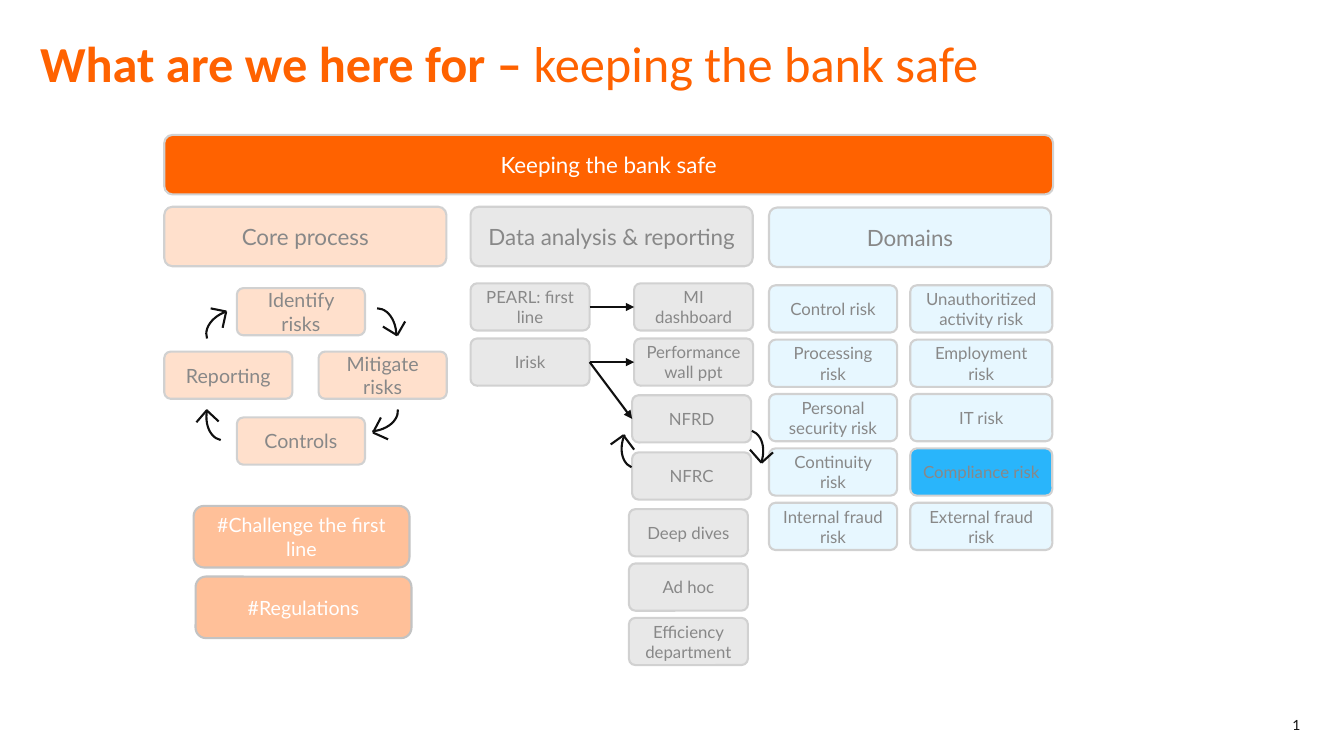
from lxml import etree
from pptx import Presentation
from pptx.dml.color import RGBColor
from pptx.enum import shapes, text
from pptx.oxml.ns import qn
from pptx.util import Cm, Pt

INK, ORANGE, WHITE, GREY = "101010", "FF6200", "FFFFFF", "888888"
PEACH, SILVER, SKY, BLUE = "FFE0CC", "E8E8E8", "E7F7FF", "29B5FB"

prs = Presentation()
prs.slide_width, prs.slide_height = Cm(33.87), Cm(19.05)
s = prs.slides.add_slide(prs.slide_layouts[6])
rgb = RGBColor.from_string


def add_box(label, x, y, w, h, fill, size=12, color=GREY, line="D1D1D1", adj=0.138):
    sp = s.shapes.add_shape(shapes.MSO_SHAPE.ROUNDED_RECTANGLE, Cm(x), Cm(y), Cm(w), Cm(h))
    sp.shadow.inherit = False
    sp.adjustments[0] = adj
    sp.fill.solid()
    sp.fill.fore_color.rgb = rgb(fill)
    sp.line.color.rgb = rgb(line)
    sp.line.width = Pt(1.5)
    tf = sp.text_frame
    tf.word_wrap = True
    tf.vertical_anchor = text.MSO_ANCHOR.MIDDLE
    tf.text = label
    p = tf.paragraphs[0]
    p.alignment = text.PP_ALIGN.CENTER
    f = p.runs[0].font
    f.name, f.size, f.color.rgb = "Lato", Pt(size), rgb(color)
    return sp


def add_line(parent, x1, y1, x2, y2):
    ln = parent.add_connector(shapes.MSO_CONNECTOR.STRAIGHT, Cm(x1), Cm(y1), Cm(x2), Cm(y2))
    ln.line.color.rgb = rgb(INK)
    ln.line.width = Pt(1.5)
    etree.SubElement(ln._element.spPr, qn("a:effectLst"))
    return ln


# Title
tf = s.shapes.add_textbox(Cm(0.76), Cm(0.69), Cm(32.23), Cm(3.38)).text_frame
tf.word_wrap = True
for part, bold in (("What are we here for – ", True), ("keeping the bank safe", False)):
    r = tf.paragraphs[0].add_run()
    r.text = part
    f = r.font
    f.name, f.size, f.bold, f.color.rgb = "Calibri", Pt(36), bold, rgb(ORANGE)

# Page number
tf = s.shapes.add_textbox(Cm(31.67), Cm(17.93), Cm(1.35), Cm(0.74)).text_frame
tf.word_wrap = True
tf.text = "1"
p = tf.paragraphs[0]
p.alignment = text.PP_ALIGN.RIGHT
f = p.runs[0].font
f.name, f.size, f.color.rgb = "Lato", Pt(10), rgb(INK)

# Banner and column headers
add_box("Keeping the bank safe", 4.14, 3.4, 22.4, 1.5, ORANGE, 16, WHITE)
for label, x, y, fill in (
    ("Core process", 4.14, 5.21, PEACH),
    ("Data analysis & reporting", 11.86, 5.21, SILVER),
    ("Domains", 19.38, 5.23, SKY),
):
    add_box(label, x, y, 7.11, 1.5, fill, 16)

# Core process cycle
for label, x, y in (
    ("Identify risks", 5.97, 7.26),
    ("Mitigate risks", 8.03, 8.86),
    ("Controls", 5.97, 10.52),
    ("Reporting", 4.14, 8.86),
):
    add_box(label, x, y, 3.23, 1.19, PEACH, 14)

# Hashtags
for label, x, y in (("#Challenge the first line", 4.88, 12.75), ("#Regulations", 4.93, 14.53)):
    add_box(label, x, y, 5.44, 1.55, "FFC099", 14, WHITE, "C3C3C3", 0.167)

# Domain grid
domains = (
    ("Control risk", "Unauthoritized activity risk"),
    ("Processing risk", "Employment risk"),
    ("Personal security risk", "IT risk"),
    ("Continuity risk", "Compliance risk"),
    ("Internal fraud risk", "External fraud risk"),
)
for row, labels in enumerate(domains):
    for label, x, w in zip(labels, (19.38, 22.94), (3.23, 3.58)):
        fill = BLUE if label == "Compliance risk" else SKY
        add_box(label, x, 7.19 + 1.37 * row, w, 1.19, fill)

# Data analysis and reporting
data = {}
for label, x, y in (
    ("PEARL: first line", 11.86, 7.14),
    ("Irisk", 11.86, 8.53),
    ("MI dashboard", 15.98, 7.14),
    ("Performance wall ppt", 15.98, 8.53),
    ("NFRD", 15.93, 9.96),
    ("NFRC", 15.93, 11.4),
    ("Deep dives", 15.85, 12.83),
    ("Ad hoc", 15.85, 14.2),
    ("Efficiency department", 15.85, 15.57),
):
    data[label] = add_box(label, x, y, 3, 1.19, SILVER)

# Straight arrows from the sources to the reports
for start, end in (
    ("PEARL: first line", "MI dashboard"),
    ("Irisk", "Performance wall ppt"),
    ("Irisk", "NFRD"),
):
    ln = add_line(s.shapes, 0, 0, 1, 1)
    ln.begin_connect(data[start], 3)
    ln.end_connect(data[end], 1)
    etree.SubElement(ln.line._get_or_add_ln(), qn("a:tailEnd"), type="triangle")

# Curved arrows: arc position and rotation, tip, ends of the two barbs
for x, y, angle, tip, barbs in (
    (9.02, 7.77, 0, (10.01, 8.45), ((10.21, 8.1), (9.65, 8.23))),
    (8.86, 9.7, 84.5, (9.4, 10.9), ((9.78, 11.07), (9.6, 10.52))),
    (5.21, 9.73, 191.3, (5.21, 10.34), ((4.95, 10.64), (5.51, 10.62))),
    (5.38, 7.62, 251, (5.7, 7.85), ((5.31, 7.77), (5.61, 8.26))),
    (15.7, 10.46, 203.3, (15.71, 10.97), ((15.39, 11.2), (15.98, 11.33))),
    (18.24, 10.82, 19.1, (19.19, 11.66), ((19.48, 11.4), (18.9, 11.33))),
):
    group = s.shapes.add_group_shape().shapes
    arc = group.add_shape(shapes.MSO_SHAPE.ARC, Cm(x), Cm(y), Cm(0.97), Cm(1.37))
    arc.shadow.inherit = False
    arc.rotation = angle
    arc.fill.background()
    arc.line.color.rgb = rgb(INK)
    arc.line.width = Pt(1.5)
    for barb in barbs:
        add_line(group, *tip, *barb)

prs.save("out.pptx")
